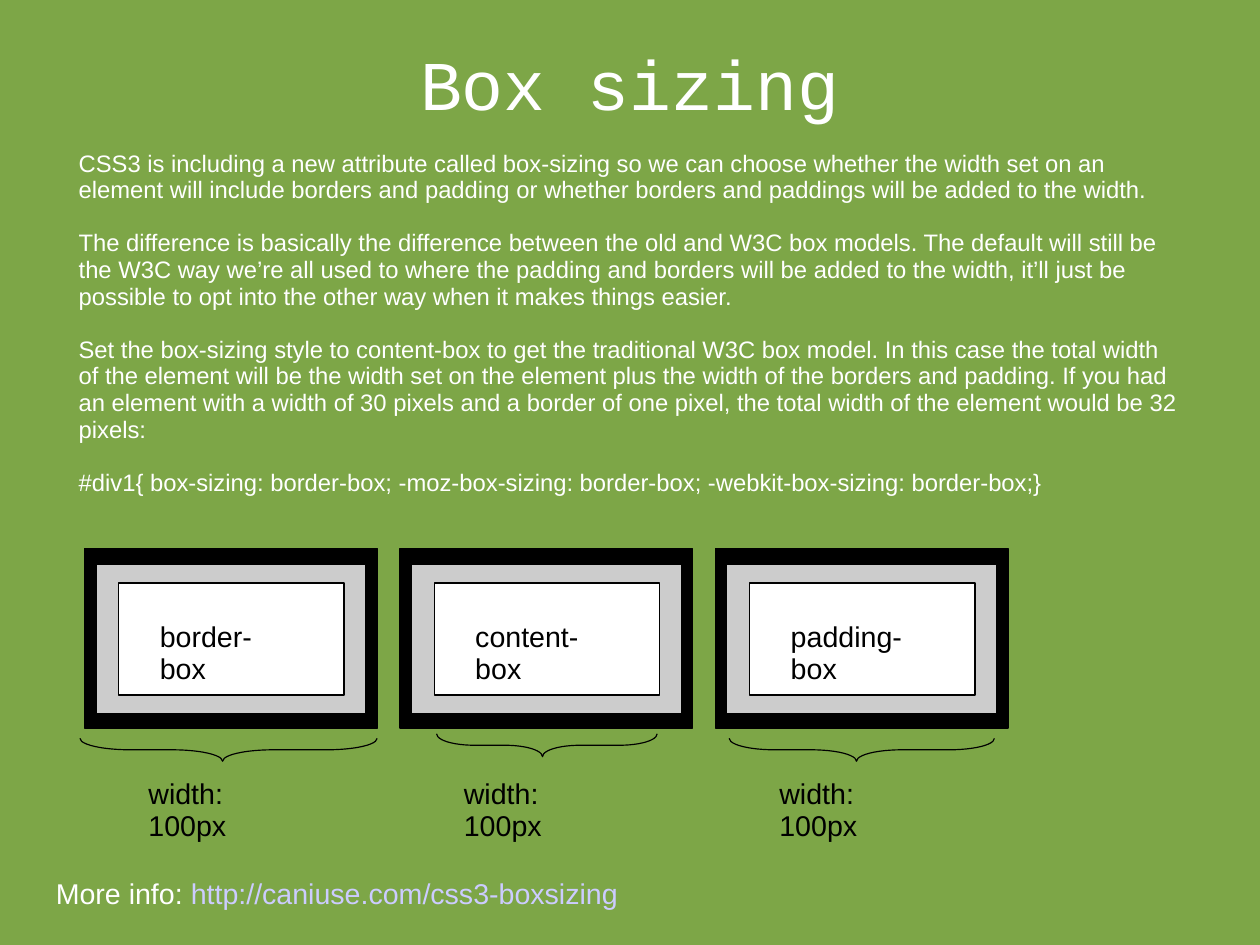
from pptx import Presentation
from pptx.dml.color import RGBColor
from pptx.enum import shapes, text
from pptx.util import Cm, Inches, Pt

# Content
TITLE = "Box sizing"
BODY = [
    "CSS3 is including a new attribute called box-sizing so we can choose whether the width set on an "
    "element will include borders and padding or whether borders and paddings will be added to the width.",
    "The difference is basically the difference between the old and W3C box models. The default will still be "
    "the W3C way we’re all used to where the padding and borders will be added to the width, it’ll just be "
    "possible to opt into the other way when it makes things easier.",
    "Set the box-sizing style to content-box to get the traditional W3C box model. In this case the total width "
    "of the element will be the width set on the element plus the width of the borders and padding. If you had "
    "an element with a width of 30 pixels and a border of one pixel, the total width of the element would be 32 "
    "pixels:",
    "#div1{ box-sizing: border-box; -moz-box-sizing: border-box; -webkit-box-sizing: border-box;}",
]
MORE_INFO = [("More info: ", "light"), ("http://caniuse.com/css3-boxsizing", "link")]
WIDTH_LABEL = "width: 100px"
# Box name, label width, brace left, brace top, brace length
MODELS = [
    ("border-box", 1.40, 0.70, 6.46, 2.60),
    ("content-box", 1.50, 3.82, 6.42, 1.93),
    ("padding-box", 1.57, 6.38, 6.46, 2.32),
]

THEME = {
    "colours": {"back": "7DA647", "light": "FFFFFF", "link": "CCCCFF",
                "dark": "000000", "padding": "CCCCCC"},
    "sizes": {"title": 44, "body": 15, "label": 18},
    "fonts": {"title": "Courier New", "body": "Arial", "label": "Arial"},
}

# Layout: nested layers as offset from column, top, width, height, colour
COLUMN_LEFT, COLUMN_STEP = 0.74, 2.76
LAYERS = [(0, 4.80, 2.56, 1.57, "dark"),
          (0.10, 4.94, 2.36, 1.30, "padding"),
          (0.30, 5.10, 1.97, 0.98, "light")]
BRACE_DEPTH, BRACE_CURVE, BRACE_POINT = 0.2, 0.17, 0.48


def colour(name):
    return RGBColor.from_string(THEME["colours"][name])


def add_text(slide, box, paragraphs, style, gap=0, inset=(0.1, 0.05), wrap=False, **para_format):
    """Each paragraph is a list of (text, colour name) runs."""
    tf = slide.shapes.add_textbox(*map(Inches, box)).text_frame
    fit = text.MSO_AUTO_SIZE.NONE if wrap else text.MSO_AUTO_SIZE.SHAPE_TO_FIT_TEXT
    frame = {"word_wrap": wrap, "auto_size": fit,
             "margin_left": Inches(inset[0]), "margin_right": Inches(inset[0]),
             "margin_top": Inches(inset[1]), "margin_bottom": Inches(inset[1])}
    for key, value in frame.items():
        setattr(tf, key, value)
    for i, runs in enumerate(paragraphs):
        p = tf.add_paragraph() if i else tf.paragraphs[0]
        spacing = {"line_spacing": 0.93, "space_before": Pt(gap if i else 0)}
        for key, value in {**spacing, **para_format}.items():
            setattr(p, key, value)
        for words, tint in runs:
            r = p.add_run()
            r.text = words
            r.font.size = Pt(THEME["sizes"][style])
            r.font.name = THEME["fonts"][style]
            r.font.color.rgb = colour(tint)
    return tf


def add_outline(slide, kind, box, adjustments, fill=None):
    sp = slide.shapes.add_shape(kind, *map(Inches, box))
    sp.shadow.inherit = False
    for i, value in enumerate(adjustments):
        sp.adjustments[i] = value
    if fill:
        sp.fill.solid()
        sp.fill.fore_color.rgb = colour(fill)
    else:
        sp.fill.background()
    sp.line.color.rgb = colour("dark")
    sp.line.width = Pt(0.75)
    return sp


def add_brace(slide, left, top, length):
    # A left brace turned about its centre so that it points down
    x = left + (length - BRACE_DEPTH) / 2
    y = top - (length - BRACE_DEPTH) / 2
    sp = add_outline(slide, shapes.MSO_SHAPE.LEFT_BRACE, (x, y, BRACE_DEPTH, length),
                     (BRACE_CURVE * length / BRACE_DEPTH, BRACE_POINT))
    sp.rotation = 270


def main():
    prs = Presentation()
    prs.slide_width, prs.slide_height = Cm(28), Cm(21)
    s = prs.slides.add_slide(prs.slide_layouts[6])
    s.background.fill.solid()
    s.background.fill.fore_color.rgb = colour("back")

    # Title, explanation and link
    tf = add_text(s, (0.55, 0.34, 9.92, 0.84), [[(TITLE, "light")]], "title",
                  inset=(0, 0), wrap=True, alignment=text.PP_ALIGN.CENTER)
    tf.vertical_anchor = text.MSO_ANCHOR.MIDDLE
    add_text(s, (0.59, 1.27, 9.84, 3.15), [[(words, "light")] for words in BODY],
             "body", gap=16.8, wrap=True)
    add_text(s, (0.39, 7.64, 5.27, 0.38), [MORE_INFO], "label")

    # Box models with the measured width below each
    for i, (name, label_width, *brace) in enumerate(MODELS):
        left = COLUMN_LEFT + i * COLUMN_STEP
        for dx, top, width, height, fill in LAYERS:
            add_outline(s, shapes.MSO_SHAPE.ROUNDED_RECTANGLE,
                        (left + dx, top, width, height), [0], fill)
        add_text(s, (left + 0.56, 5.39, label_width, 0.38), [[(name, "dark")]], "label")
        add_brace(s, *brace)
        add_text(s, (left + 0.46, 6.77, 1.59, 0.38), [[(WIDTH_LABEL, "dark")]], "label")

    prs.save("out.pptx")


if __name__ == "__main__":
    main()
